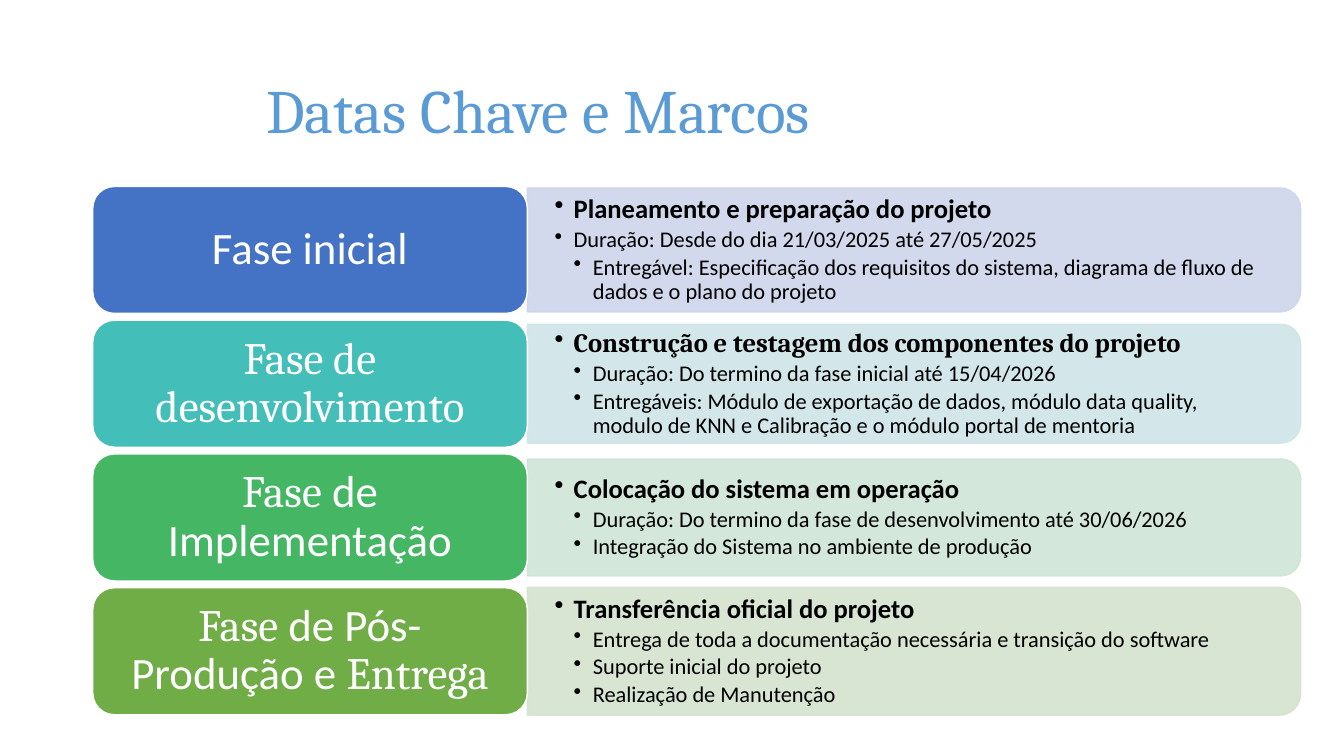
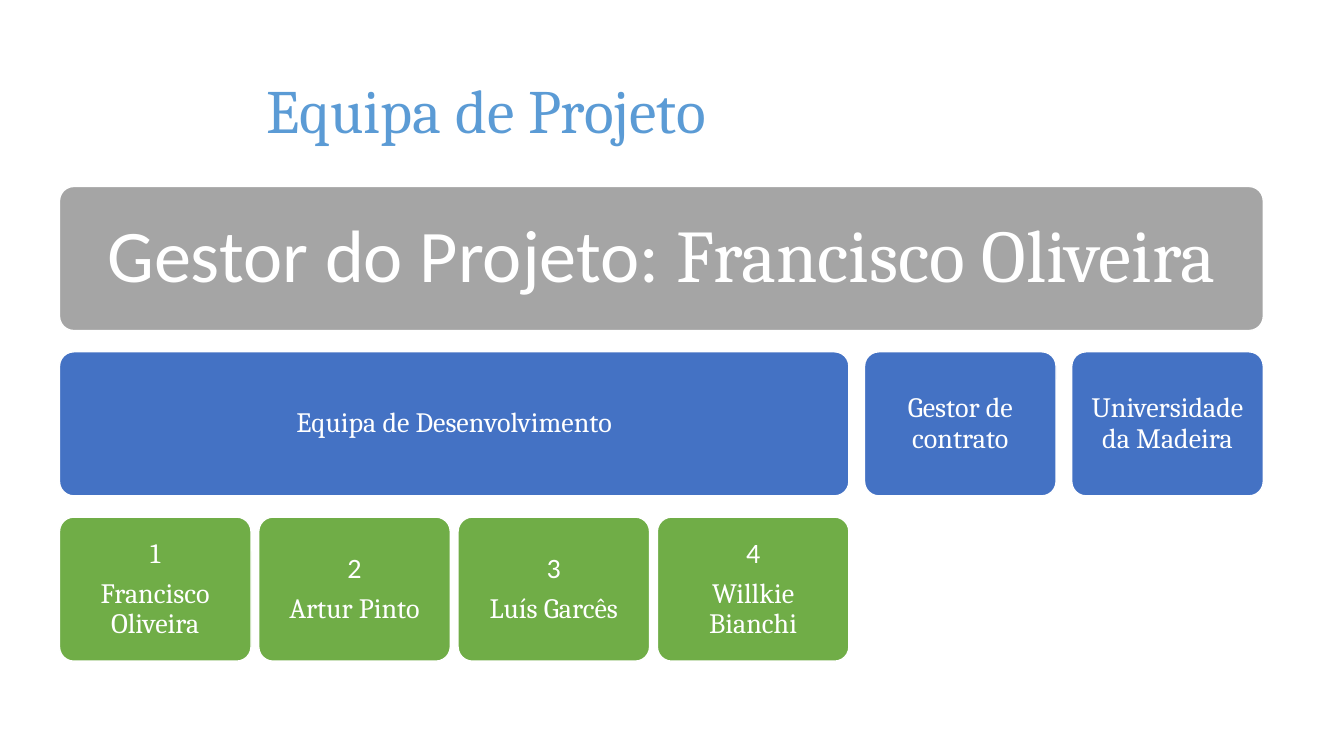
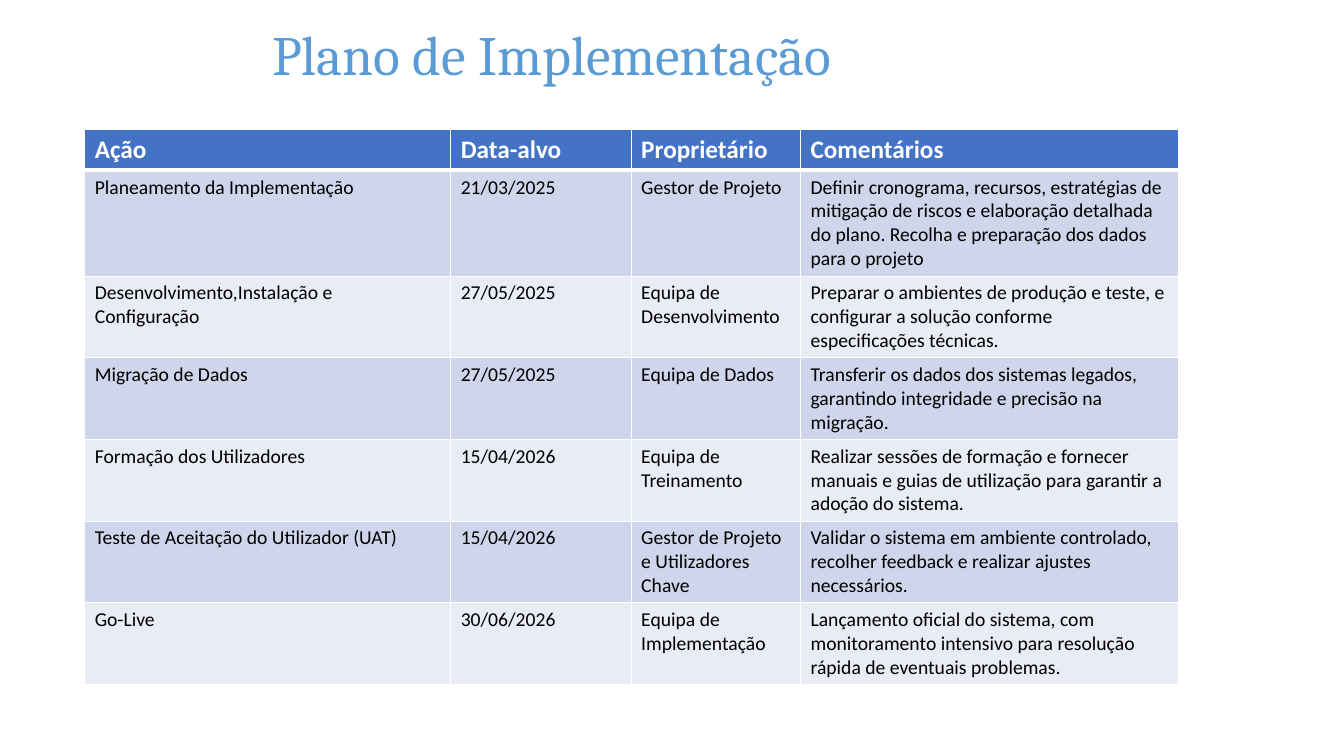
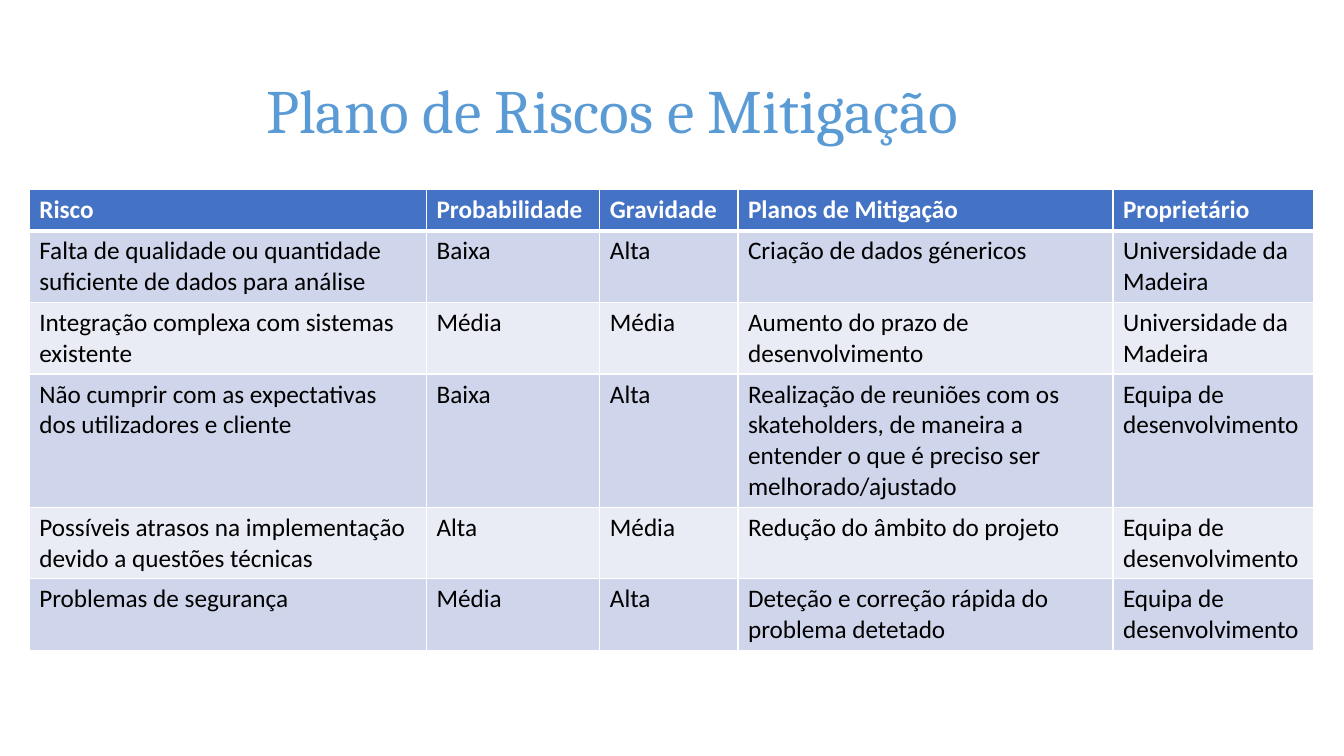
"""Build four project slides: milestones, team, implementation plan and risk plan."""
from lxml import etree
from pptx import Presentation
from pptx.dml.color import RGBColor
from pptx.enum import shapes, text
from pptx.oxml import ns
from pptx.util import Inches, Pt

COLOURS = {
    "title": "5B9BD5", "white": "FFFFFF", "black": "000000",
    "blue": "4472C4", "teal": "43BEB9", "emerald": "45B664", "green": "70AD47", "grey": "A5A5A5",
    "pale_blue": "CFD5EA", "pale_teal": "CFE5E8", "pale_emerald": "CFE5D8", "pale_green": "D5E3CF",
    "band_light": "E9EBF5",
}
BODY, SERIF = "Calibri", "Cambria"
TITLE_BOX = (2.54, 0.4, 9.88, 1.45)
RAISED_TITLE_BOX = (2.6, 0.14, 9.88, 0.87)

PHASES = [
    ([("Fase inicial", BODY)], "blue", "pale_blue", 1.23, BODY,
     "Planeamento e preparação do projeto",
     [(0, "Duração: Desde do dia 21/03/2025 até 27/05/2025"),
      (1, "Entregável: Especificação dos requisitos do sistema, diagrama de fluxo de dados e o plano do projeto")]),
    ([("Fase de desenvolvimento", SERIF)], "teal", "pale_teal", 1.18, SERIF,
     "Construção e testagem dos componentes do projeto",
     [(1, "Duração: Do termino da fase inicial até 15/04/2026"),
      (1, "Entregáveis: Módulo de exportação de dados, módulo data quality, modulo de KNN e Calibração "
          "e o módulo portal de mentoria")]),
    ([("Fase", SERIF), (" de Implementação", BODY)], "emerald", "pale_emerald", 1.16, BODY,
     "Colocação do sistema em operação",
     [(1, "Duração: Do termino da fase de desenvolvimento até 30/06/2026"),
      (1, "Integração do Sistema no ambiente de produção")]),
    ([("Fase", SERIF), (" de Pós-Produção e ", BODY), ("Entrega", SERIF)], "green", "pale_green", 1.27, BODY,
     "Transferência oficial do projeto",
     [(1, "Entrega de toda a documentação necessária e transição do software"),
      (1, "Suporte inicial do projeto"),
      (1, "Realização de Manutenção")]),
]

DEVELOPERS = [("1", SERIF, "Francisco Oliveira"), ("2", BODY, "Artur Pinto"),
              ("3", BODY, "Luís Garcês"), ("4", BODY, "Willkie Bianchi")]

ACTIONS = [
    ("Ação", "Data-alvo", "Proprietário", "Comentários"),
    ("Planeamento da Implementação", "21/03/2025", "Gestor de Projeto",
     "Definir cronograma, recursos, estratégias de mitigação de riscos e elaboração detalhada do plano. "
     "Recolha e preparação dos dados para o projeto"),
    ("Desenvolvimento,Instalação e Configuração", "27/05/2025", "Equipa de Desenvolvimento",
     "Preparar o ambientes de produção e teste, e configurar a solução conforme especificações técnicas."),
    ("Migração de Dados", "27/05/2025", "Equipa de Dados",
     "Transferir os dados dos sistemas legados, garantindo integridade e precisão na migração."),
    ("Formação dos Utilizadores", "15/04/2026", "Equipa de Treinamento",
     "Realizar sessões de formação e fornecer manuais e guias de utilização para garantir a adoção do sistema."),
    ("Teste de Aceitação do Utilizador (UAT)", "15/04/2026", "Gestor de Projeto e Utilizadores Chave",
     "Validar o sistema em ambiente controlado, recolher feedback e realizar ajustes necessários."),
    ("Go-Live", "30/06/2026", "Equipa de Implementação",
     "Lançamento oficial do sistema, com monitoramento intensivo para resolução rápida de eventuais problemas."),
]

RISKS = [
    ("Risco", "Probabilidade", "Gravidade", "Planos de Mitigação", "Proprietário"),
    ("Falta de qualidade ou quantidade suficiente de dados para análise", "Baixa", "Alta",
     "Criação de dados génericos", "Universidade da Madeira"),
    ("Integração complexa com sistemas existente", "Média", "Média",
     "Aumento do prazo de desenvolvimento", "Universidade da Madeira"),
    ("Não cumprir com as expectativas dos utilizadores e cliente", "Baixa", "Alta",
     "Realização de reuniões com os skateholders, de maneira a entender o que é preciso ser melhorado/ajustado",
     "Equipa de desenvolvimento"),
    ("Possíveis atrasos na implementação devido a questões técnicas", "Alta", "Média",
     "Redução do âmbito do projeto", "Equipa de desenvolvimento"),
    ("Problemas de segurança", "Média", "Alta",
     "Deteção e correção rápida do problema detetado", "Equipa de desenvolvimento"),
]


def rgb(name):
    """Return the named colour."""
    return RGBColor.from_string(COLOURS[name])


def inches(values):
    """Convert a sequence of numbers to lengths."""
    return [Inches(value) for value in values]


def add_span(para, words, font=BODY, size=18, color="black", bold=False):
    """Append formatted text to a paragraph."""
    span = para.add_run()
    span.text = words
    span.font.name, span.font.size, span.font.bold = font, Pt(size), bold
    span.font.color.rgb = rgb(color)


def next_paragraph(frame, align=text.PP_ALIGN.LEFT, after=0):
    """Return the empty first paragraph or a new one, spaced tightly."""
    para = frame.paragraphs[0]
    if para.runs:
        para = frame.add_paragraph()
    para.alignment, para.line_spacing, para.space_after = align, 0.9, Pt(after)
    return para


def add_bullet(frame, words, depth, **style):
    """Add a bulleted paragraph at the given depth."""
    para = next_paragraph(frame, after=0.15 * style["size"])
    para.level = depth
    properties = para._p.get_or_add_pPr()
    properties.set("marL", str(Inches(0.19 * (depth + 1))))
    properties.set("indent", str(Inches(-0.19)))
    etree.SubElement(properties, ns.qn("a:buChar")).set("char", "•")
    add_span(para, words, **style)


def set_frame(frame, side=0.1, edge=0.0):
    """Wrap text, centre it vertically and set its margins."""
    frame.word_wrap, frame.auto_size = True, text.MSO_AUTO_SIZE.NONE
    frame.vertical_anchor = text.MSO_ANCHOR.MIDDLE
    frame.margin_left = frame.margin_right = Inches(side)
    frame.margin_top = frame.margin_bottom = Inches(edge)


def add_page(deck, title, place=TITLE_BOX, size=44):
    """Add a slide with a formatted title."""
    page = deck.slides.add_slide(deck.slide_layouts[5])
    box = page.shapes.title
    box.left, box.top, box.width, box.height = inches(place)
    set_frame(box.text_frame, edge=0.05)
    add_span(next_paragraph(box.text_frame), title, font=SERIF, size=size, color="title")
    return page


def add_block(page, kind, place, fill, line):
    """Add a filled and outlined preset shape."""
    block = page.shapes.add_shape(kind, *inches(place))
    block.shadow.inherit = False
    block.fill.solid()
    block.fill.fore_color.rgb = rgb(fill)
    block.line.color.rgb = rgb(line)
    block.line.width = Pt(1)
    return block


def add_card(page, place, fill, paragraphs, size=20, corner=0.1, side=0.08, edge=0.08):
    """Add a rounded card whose paragraphs are lists of (text, font)."""
    card = add_block(page, shapes.MSO_SHAPE.ROUNDED_RECTANGLE, place, fill, "white")
    card.adjustments[0] = corner
    set_frame(card.text_frame, side, edge)
    for spans in paragraphs:
        para = next_paragraph(card.text_frame, text.PP_ALIGN.CENTER, 0.35 * size)
        for words, font in spans:
            add_span(para, words, font=font, size=size, color="white")


def add_panel(page, left, middle, width, height, fill):
    """Add a translucent panel rounded on its right side."""
    place = (left + (width - height) / 2, middle - width / 2, height, width)
    panel = add_block(page, shapes.MSO_SHAPE.ROUND_2_SAME_RECTANGLE, place, fill, fill)
    panel.rotation = 90
    for color in panel._element.spPr.iter(ns.qn("a:srgbClr")):
        etree.SubElement(color, ns.qn("a:alpha")).set("val", "90000")


def add_phase(page, top, phase):
    """Add one phase: its panel, details and label."""
    label, fill, pale, height, font, heading, details = phase
    left, label_width, label_height, panel_width = 0.92, 4.31, 1.26, 7.67
    middle, panel_left = top + label_height / 2, left + label_width
    add_panel(page, panel_left, middle, panel_width, height, pale)
    box = page.shapes.add_textbox(*inches((panel_left, middle - height / 2, 7.61, height)))
    set_frame(box.text_frame, side=0.27)
    add_bullet(box.text_frame, heading, 0, font=font, size=19, bold=True)
    for depth, words in details:
        add_bullet(box.text_frame, words, depth, size=16)
    add_card(page, (left, top, label_width, label_height), fill, [label],
             size=32, corner=0.17, side=0.13, edge=0.07)


def set_borders(cell, bottom):
    """Draw white borders, with the bottom width in points."""
    properties = cell._tc.get_or_add_tcPr()
    for tag, width in (("lnL", 1), ("lnR", 1), ("lnT", 1), ("lnB", bottom)):
        line = etree.SubElement(properties, ns.qn(f"a:{tag}"), w=str(Pt(width)))
        fill = etree.SubElement(line, ns.qn("a:solidFill"))
        etree.SubElement(fill, ns.qn("a:srgbClr"), val=COLOURS["white"])


def add_grid(page, left, top, widths, heights, rows, size):
    """Add a banded table with a header row."""
    place = inches((left, top, sum(widths), sum(heights)))
    table = page.shapes.add_table(len(rows), len(widths), *place).table
    for column, width in zip(table.columns, widths):
        column.width = Inches(width)
    for index, (row, height, values) in enumerate(zip(table.rows, heights, rows)):
        row.height = Inches(height)
        header = index == 0
        fill = "blue" if header else ("band_light", "pale_blue")[index % 2]
        for cell, words in zip(row.cells, values):
            set_borders(cell, 3 if header or False else 1)
            cell.fill.solid()
            cell.fill.fore_color.rgb = rgb(fill)
            add_span(cell.text_frame.paragraphs[0], words, size=18 if header else size,
                     color="white" if header else "black", bold=header)


def build_milestones(deck):
    """Build the key dates slide."""
    page = add_page(deck, "Datas Chave e Marcos")
    for index, phase in enumerate(PHASES):
        add_phase(page, 1.85 + 1.327 * index, phase)


def build_team(deck):
    """Build the project team slide."""
    page = add_page(deck, "Equipa de Projeto")
    left, total, team, small, height = 0.59, 11.94, 7.83, 1.9, 1.43
    manager_top, group_top, member_top = (1.85 + 1.64 * row for row in range(3))
    add_card(page, (left, manager_top, total, height), "grey",
             [[("Gestor do Projeto: ", BODY), ("Francisco Oliveira", SERIF)]], size=53, side=0.22, edge=0.22)
    add_card(page, (left, group_top, team, height), "blue", [[("Equipa de Desenvolvimento", SERIF)]])
    step = (team - small) / (len(DEVELOPERS) - 1)
    for index, (number, font, name) in enumerate(DEVELOPERS):
        add_card(page, (left + step * index, member_top, small, height), "green",
                 [[(number, font)], [(name, SERIF)]])
    gap = (total - team - 2 * small) / 2
    for index, name in enumerate(("Gestor de contrato", "Universidade da Madeira")):
        group_left = left + team + gap + (small + gap) * index
        add_card(page, (group_left, group_top, small, height), "blue", [[(name, SERIF)]])


def main():
    """Build and save the deck."""
    deck = Presentation()
    deck.slide_width, deck.slide_height = Inches(13.33), Inches(7.5)
    build_milestones(deck)
    build_team(deck)
    page = add_page(deck, "Plano de Implementação", RAISED_TITLE_BOX, 39.6)
    add_grid(page, 0.84, 1.28, (3.63, 1.79, 1.68, 3.75), (0.41, 1.05) + (0.81,) * 5, ACTIONS, 14)
    page = add_page(deck, "Plano de Riscos e Mitigação")
    add_grid(page, 0.29, 1.88, (3.94, 1.72, 1.37, 3.72, 1.99),
             (0.41, 0.71, 0.71, 1.32, 0.71, 0.71), RISKS, 18)
    deck.save("out.pptx")


if __name__ == "__main__":
    main()
